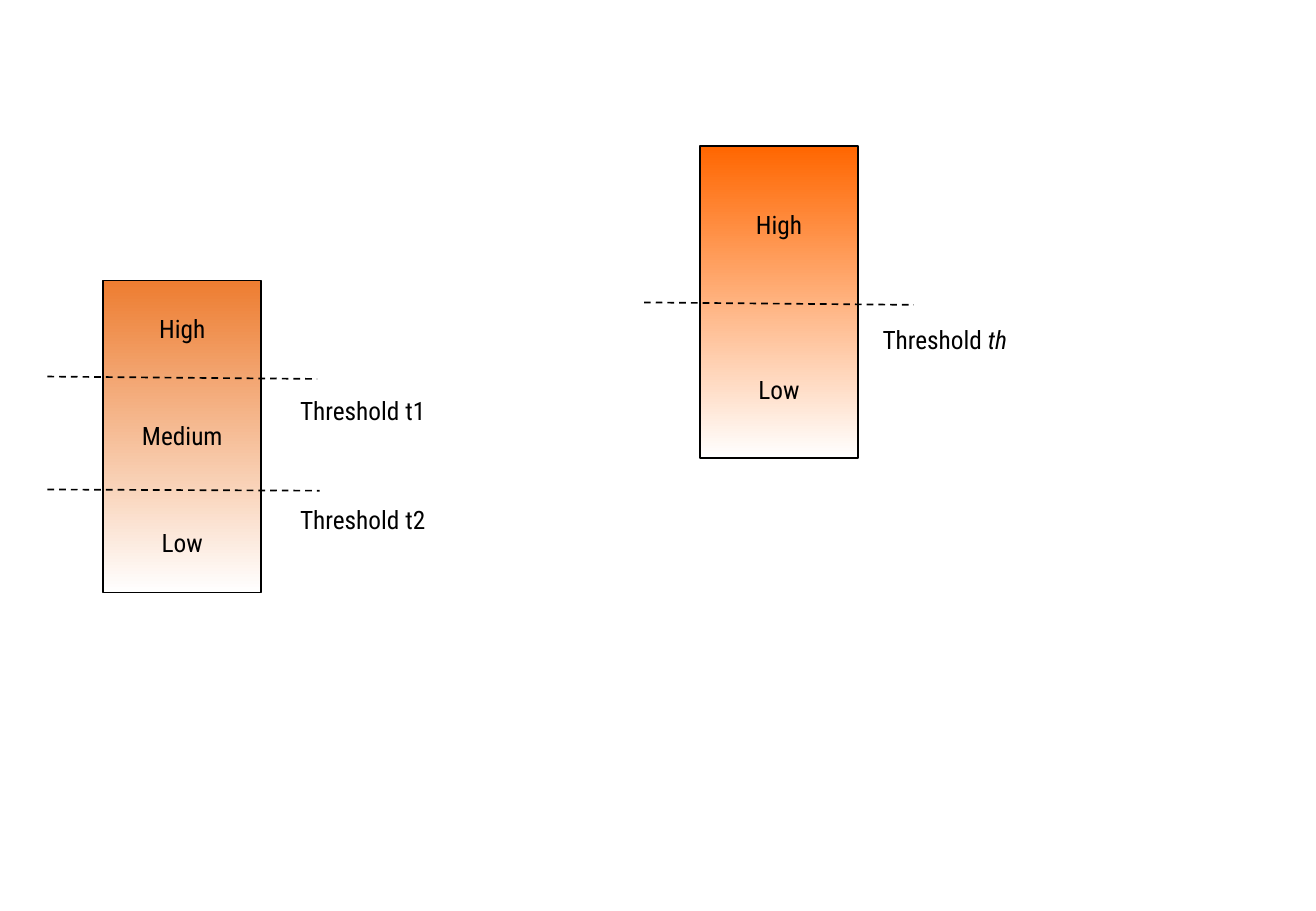
"""Build a slide with two graded level bars split by dashed thresholds."""
from lxml import etree
from pptx import Presentation
from pptx.dml.color import RGBColor
from pptx.enum.dml import MSO_LINE
from pptx.enum.shapes import MSO_CONNECTOR, MSO_SHAPE
from pptx.enum.text import MSO_ANCHOR, PP_ALIGN
from pptx.oxml.ns import qn
from pptx.util import Inches, Pt

RECTANGLE = MSO_SHAPE.RECTANGLE
STRAIGHT = MSO_CONNECTOR.STRAIGHT
DASH = MSO_LINE.DASH
CENTER = PP_ALIGN.CENTER
MIDDLE = MSO_ANCHOR.MIDDLE

FONT = "Roboto Condensed"
BLACK = "000000"
WHITE = "FFFFFF"
BAR_WIDTH, BAR_HEIGHT = 1.3, 2.57
LEVEL_WIDTH, THRESHOLD_WIDTH, LABEL_HEIGHT = 1.02, 1.27, 0.41
LINE_OVERHANG = 0.46

SCALES = [
    {
        "left": 0.85, "top": 2.31, "color": "ED7D31",
        "levels": [("High", 2.5), ("Medium", 3.38), ("Low", 4.26)],
        "lines": [(3.1, 3.12, 2.22), (4.03, 4.04, 2.24)],
        "thresholds": [("Threshold ", "t1", False, 2.35, 3.17),
                       ("Threshold ", "t2", False, 2.35, 4.07)],
    },
    {
        "left": 5.76, "top": 1.2, "color": "FF6600",
        "levels": [("High", 1.64), ("Low", 3.0)],
        "lines": [(2.49, 2.51, 2.22)],
        "thresholds": [("Threshold ", "th", True, 7.14, 2.59)],
    },
]


def rgb(value):
    return RGBColor.from_string(value)


def set_outline(shape):
    shape.line.color.rgb = rgb(BLACK)
    shape.line.width = Pt(1)


def add_bar(shapes, left, top, color):
    bar = shapes.add_shape(RECTANGLE, Inches(left), Inches(top),
                           Inches(BAR_WIDTH), Inches(BAR_HEIGHT))
    bar.shadow.inherit = False
    bar.fill.gradient()
    bar.fill.gradient_angle = 270
    for position, (stop, shade) in enumerate(zip(bar.fill.gradient_stops, (color, WHITE))):
        stop.position = position
        stop.color.rgb = rgb(shade)
    set_outline(bar)


def add_threshold_line(shapes, left, start_y, end_y, length):
    line = shapes.add_connector(STRAIGHT, Inches(left), Inches(start_y),
                                Inches(left + length), Inches(end_y))
    set_outline(line)
    line.line.dash_style = DASH
    etree.SubElement(line._element.spPr, qn("a:effectLst"))


def add_label(shapes, left, top, width, parts):
    box = shapes.add_textbox(Inches(left), Inches(top), Inches(width), Inches(LABEL_HEIGHT))
    frame = box.text_frame
    frame.word_wrap = True
    frame.margin_left = frame.margin_right = 0
    frame.vertical_anchor = MIDDLE
    para = frame.paragraphs[0]
    para.alignment = CENTER
    for text, italic in parts:
        span = para.add_run()
        span.text = text
        span.font.name = FONT
        span.font.size = Pt(15)
        span.font.italic = italic
        span.font.color.rgb = rgb(BLACK)


def add_scale(page, scale):
    shapes = page.shapes.add_group_shape().shapes
    left = scale["left"]
    add_bar(shapes, left, scale["top"], scale["color"])
    for start_y, end_y, length in scale["lines"]:
        add_threshold_line(shapes, left - LINE_OVERHANG, start_y, end_y, length)
    level_left = left + (BAR_WIDTH - LEVEL_WIDTH) / 2
    for text, top in scale["levels"]:
        add_label(shapes, level_left, top, LEVEL_WIDTH, [(text, False)])
    for word, name, italic, label_left, top in scale["thresholds"]:
        parts = [(word, False), (name, True)] if italic else [(word + name, False)]
        add_label(shapes, label_left, top, THRESHOLD_WIDTH, parts)


def main():
    deck = Presentation()
    deck.slide_width, deck.slide_height = Inches(10.83), Inches(7.5)
    page = deck.slides.add_slide(deck.slide_layouts[6])
    for scale in SCALES:
        add_scale(page, scale)
    deck.save("out.pptx")


if __name__ == "__main__":
    main()
